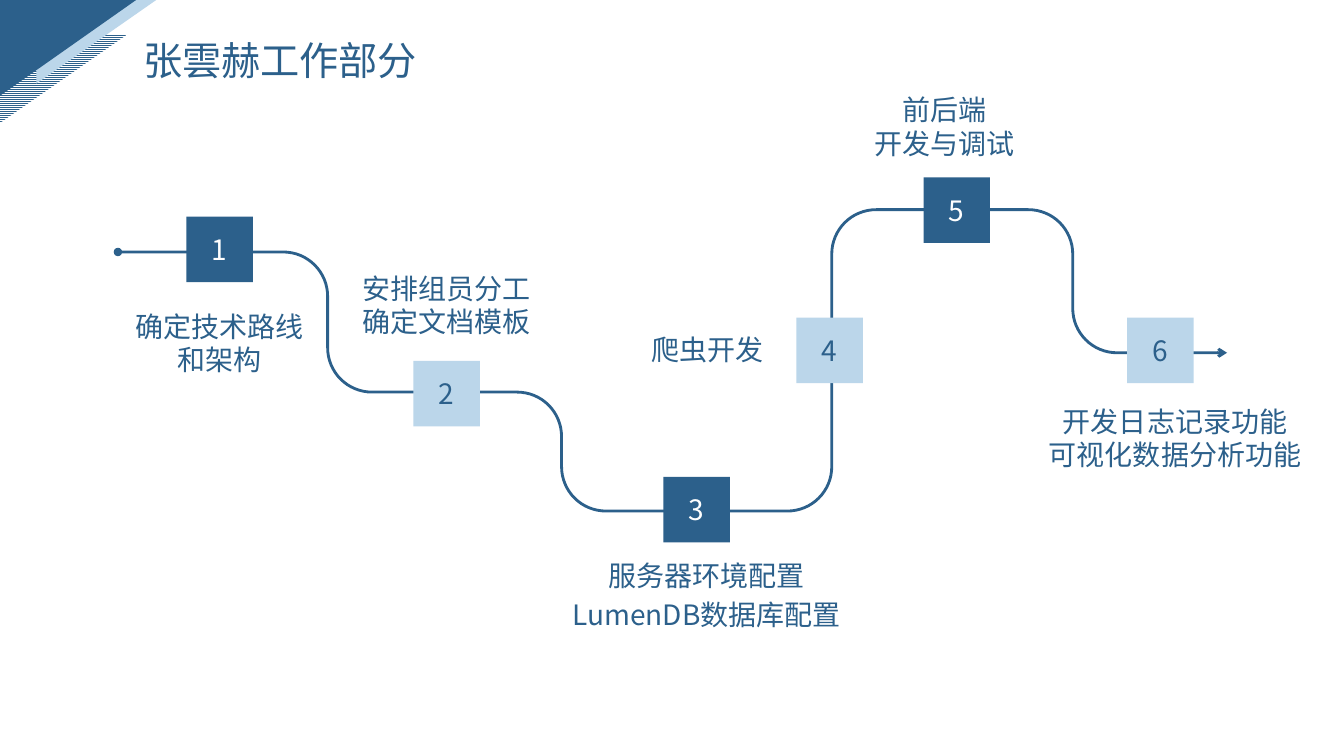
from math import cos, dist, pi, sin
from typing import NamedTuple

from lxml import etree
from pptx import Presentation
from pptx.dml.color import RGBColor
from pptx.dml.fill import FillFormat
from pptx.enum.dml import MSO_PATTERN
from pptx.enum.shapes import MSO_SHAPE
from pptx.enum.text import MSO_ANCHOR, MSO_AUTO_SIZE, PP_ALIGN
from pptx.oxml.ns import qn
from pptx.util import Inches, Pt

RECT = MSO_SHAPE.RECTANGLE
WEDGE = MSO_SHAPE.RIGHT_TRIANGLE
STRIPES = MSO_PATTERN.LIGHT_HORIZONTAL
LEFT, CENTER = PP_ALIGN.LEFT, PP_ALIGN.CENTER
MIDDLE = MSO_ANCHOR.MIDDLE
GROW = MSO_AUTO_SIZE.SHAPE_TO_FIT_TEXT

FONT = "Noto Sans CJK SC"
NAVY, SKY, WHITE = "2C608B", "BBD6EA", "FFFFFF"
WIDTH, HEIGHT = 0.66, 0.65
RADIUS, STEPS = 0.44, 16


class Box(NamedTuple):
    left: float
    top: float
    width: float
    height: float


class Corner(NamedTuple):
    box: Box
    color: str
    striped: bool = False


class Label(NamedTuple):
    text: str
    box: Box
    size: int = 20
    align: PP_ALIGN = CENTER


Point = tuple[float, float]

CORNERS = [
    Corner(Box(0.19, 0.16, 0.87, 1.25), NAVY, True),
    Corner(Box(0.54, -0.18, 0.83, 1.19), SKY),
    Corner(Box(0.2, -0.2, 0.95, 1.35), NAVY),
]
ROUTE: list[Point] = [
    (1.17, 2.5), (3.25, 2.5), (3.25, 3.89), (5.57, 3.89), (5.57, 5.07),
    (8.25, 5.07), (8.25, 2.08), (10.64, 2.08), (10.64, 3.5), (12.17, 3.5),
]
STOPS: list[Point] = [
    (1.85, 2.15), (4.1, 3.58), (6.58, 4.73),
    (7.9, 3.15), (9.16, 1.76), (11.18, 3.15),
]
LABELS = [
    Label("张雲赫工作部分", Box(1.32, 0.31, 5.35, 0.57), 28, LEFT),
    Label("确定技术路线和架构", Box(1.17, 3.02, 2.02, 0.77)),
    Label("安排组员分工\n确定文档模板", Box(3.42, 2.64, 2.02, 0.77)),
    Label("服务器环境配置", Box(5.79, 5.49, 2.43, 0.44)),
    Label("LumenDB数据库配置", Box(5.51, 5.88, 3, 0.44)),
    Label("爬虫开发", Box(6.36, 3.25, 1.59, 0.44), align=LEFT),
    Label("前后端\n开发与调试", Box(8.23, 0.87, 2.28, 0.77)),
    Label("开发日志记录功能\n可视化数据分析功能", Box(10.23, 3.96, 2.85, 0.77)),
]


def rgb(color: str) -> RGBColor:
    return RGBColor.from_string(color)


def paint(fill: FillFormat, color: str) -> None:
    fill.solid()
    fill.fore_color.rgb = rgb(color)


def write(frame, text: str, *, size: int = 20, color: str = NAVY,
          align: PP_ALIGN = CENTER) -> None:
    frame.word_wrap = True
    frame.text = text
    for para in frame.paragraphs:
        para.alignment = align
        for run in para.runs:
            run.font.size = Pt(size)
            run.font.color.rgb = rgb(color)
            run.font.name = FONT
            face = etree.SubElement(run.font._element, qn("a:ea"))
            face.set("typeface", FONT)


def add_block(slide, kind: MSO_SHAPE, box: Box, color: str):
    block = slide.shapes.add_shape(kind, *map(Inches, box))
    block.shadow.inherit = False
    block.line.fill.background()
    paint(block.fill, color)
    return block


def add_corner(slide, corner: Corner) -> None:
    wedge = add_block(slide, WEDGE, corner.box, corner.color)
    wedge.rotation = 90
    if corner.striped:
        wedge.fill.patterned()
        wedge.fill.pattern = STRIPES
        wedge.fill.fore_color.rgb = rgb(corner.color)
        wedge.fill.back_color.rgb = rgb(WHITE)


def bend(start: Point, turn: Point, end: Point) -> list[Point]:
    back, ahead = dist(start, turn), dist(turn, end)
    points = []
    for step in range(STEPS + 1):
        angle = step / STEPS * pi / 2
        near = RADIUS * (1 - sin(angle)) / back
        far = RADIUS * (1 - cos(angle)) / ahead
        x, y = (t + near * (s - t) + far * (e - t)
                for s, t, e in zip(start, turn, end))
        points.append((x, y))
    return points


def add_route(slide, route: list[Point]) -> None:
    points = [route[0]]
    for start, turn, end in zip(route, route[1:], route[2:]):
        points += bend(start, turn, end)
    points.append(route[-1])
    first, *rest = [(Inches(x), Inches(y)) for x, y in points]
    pen = slide.shapes.build_freeform(*first)
    pen.add_line_segments(rest, close=False)
    path = pen.convert_to_shape()
    path.shadow.inherit = False
    path.fill.background()
    path.line.width = Pt(2)
    paint(path.line.fill, NAVY)
    line = path.line._get_or_add_ln()
    for tag, kind in (("a:headEnd", "oval"), ("a:tailEnd", "arrow")):
        etree.SubElement(line, qn(tag)).set("type", kind)


def add_stop(slide, order: int, spot: Point) -> None:
    fill, ink = (NAVY, WHITE) if order % 2 else (SKY, NAVY)
    block = add_block(slide, RECT, Box(*spot, WIDTH, HEIGHT), fill)
    block.text_frame.vertical_anchor = MIDDLE
    write(block.text_frame, str(order), color=ink)


def add_label(slide, label: Label) -> None:
    frame = slide.shapes.add_textbox(*map(Inches, label.box)).text_frame
    frame.auto_size = GROW
    write(frame, label.text, size=label.size, align=label.align)


def main() -> None:
    deck = Presentation()
    deck.slide_width, deck.slide_height = Inches(13.33), Inches(7.5)
    slide = deck.slides.add_slide(deck.slide_layouts[6])
    paint(slide.background.fill, WHITE)
    for corner in CORNERS:
        add_corner(slide, corner)
    add_route(slide, ROUTE)
    for order, spot in enumerate(STOPS, 1):
        add_stop(slide, order, spot)
    for label in LABELS:
        add_label(slide, label)
    deck.save("out.pptx")


if __name__ == "__main__":
    main()
